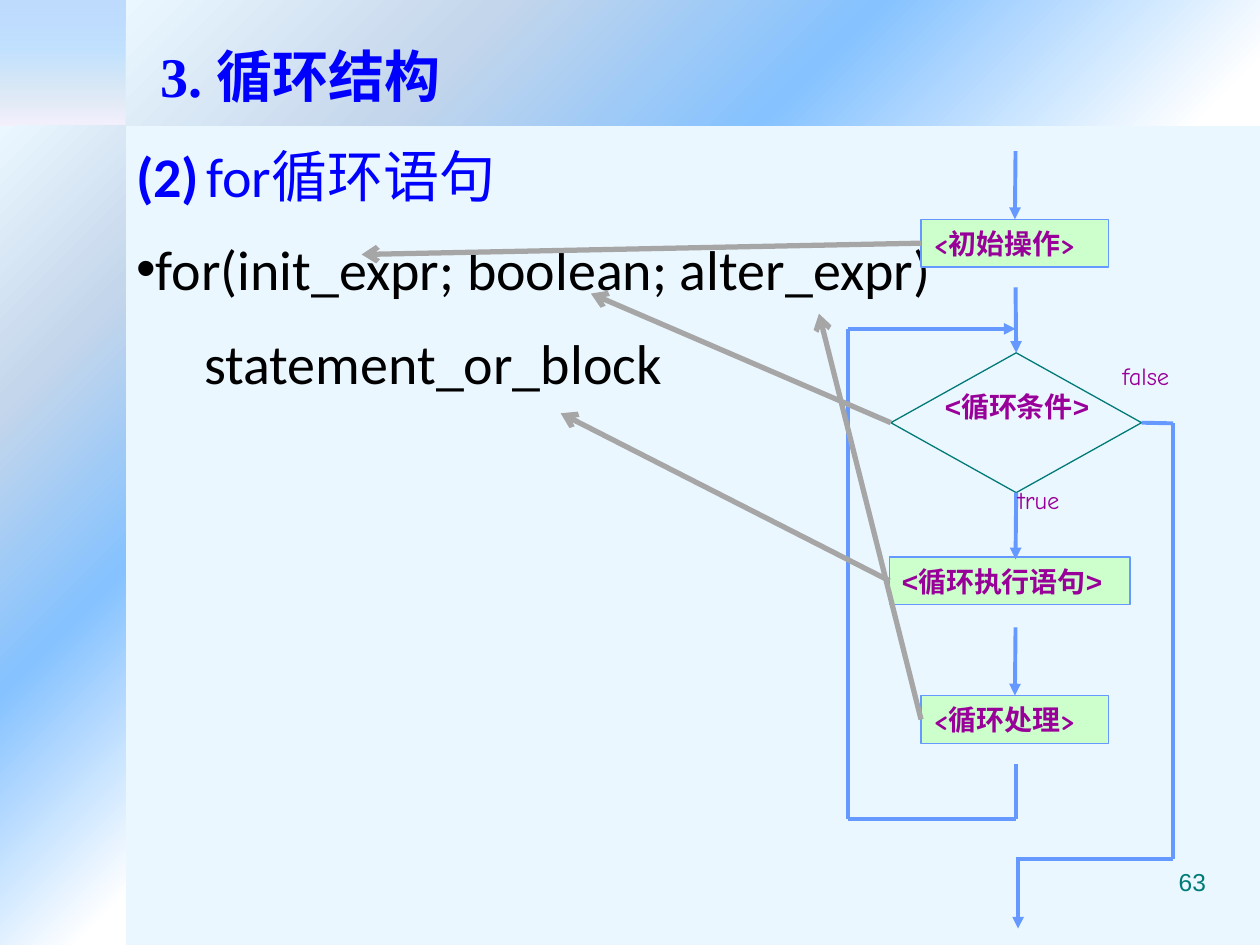
import pptx
import pptx.dml.color
import pptx.enum.shapes
import pptx.enum.text
import pptx.oxml
import pptx.oxml.ns
import pptx.util

Inches = pptx.util.Inches
Pt = pptx.util.Pt
SHAPE = pptx.enum.shapes.MSO_SHAPE
ANCHOR = pptx.enum.text.MSO_ANCHOR
ALIGN = pptx.enum.text.PP_ALIGN

COLORS = {
    "background": "EBF7FF", "heading": "0000FF", "code": "000000",
    "teal": "007A77", "label": "990099", "step": "CCFFCC",
    "flow": "6699FF", "mapping": "A6A6A6",
}
TOP, LEFT, BOTTOM, RIGHT = range(4)
AXIS = 8.06      # centre line of the flowchart
LOOP_X = 6.73    # line that returns to the condition
EXIT_X = 9.31    # line that leaves the loop

HEADING = {"name": "Calibri", "size": Pt(32), "color": "heading"}
STEP = {"name": "Arial", "size": Pt(16), "bold": True, "color": "label"}
BRANCH = {"name": "Comic Neue", "size": Pt(14), "color": "label"}

CORNER_STOPS = [(0, "5E9EFF", 31), (40, "85C2FF", 40),
                (70, "C4D6EB", 44), (100, "FFEBFA", 50)]
BAND_STOPS = [(5, "FFFFFF", 100), (40, "85C2FF", 100),
              (70, "C4D6EB", 100), (100, "EBF7FF", 100)]
DOWNWARD = '<a:lin ang="5400000" scaled="0"/>'
FROM_CORNER = '<a:path path="circle"><a:fillToRect l="100000" t="100000"/></a:path>'


def rgb(name):
    return pptx.dml.color.RGBColor.from_string(COLORS[name])


def add_run(paragraph, text, style):
    run = paragraph.add_run()
    run.text = text
    for key, value in style.items():
        if key == "color":
            run.font.color.rgb = rgb(value)
        else:
            setattr(run.font, key, value)


def place(shape, box):
    for key, value in zip(("left", "top", "width", "height"), box):
        setattr(shape, key, Inches(value))


def set_frame(shape, **values):
    frame = shape.text_frame
    settings = {"word_wrap": True, "auto_size": pptx.enum.text.MSO_AUTO_SIZE.NONE,
                "vertical_anchor": ANCHOR.TOP} | values
    for key, value in settings.items():
        setattr(frame, key, value)
    return frame


def set_bullet(paragraph, char=None, indent=0):
    properties = paragraph._p.get_or_add_pPr()
    properties.set("marL", str(Inches(indent)))
    properties.set("indent", "0")
    tag = f'buChar char="{char}"' if char else "buNone"
    properties.append(pptx.oxml.parse_xml(
        f'<a:{tag} {pptx.oxml.ns.nsdecls("a")}/>'))


def add_band(slide, box, stops, direction, rotation=0):
    """Add a gradient rectangle behind everything else."""
    band = slide.shapes.add_shape(SHAPE.RECTANGLE, *map(Inches, box))
    band.shadow.inherit = False
    band.rotation = rotation
    band.line.fill.background()
    band.fill.solid()
    stop_xml = "".join(
        f'<a:gs pos="{pos * 1000}"><a:srgbClr val="{color}">'
        f'<a:alpha val="{alpha * 1000}"/></a:srgbClr></a:gs>'
        for pos, color, alpha in stops)
    gradient = pptx.oxml.parse_xml(
        f'<a:gradFill {pptx.oxml.ns.nsdecls("a")} rotWithShape="1">'
        f'<a:gsLst>{stop_xml}</a:gsLst>{direction}</a:gradFill>')
    solid = band._element.spPr.find(pptx.oxml.ns.qn("a:solidFill"))
    solid.getparent().replace(solid, gradient)
    band._element.getparent().insert(2, band._element)


def add_node(slide, kind, box, fill, line):
    node = slide.shapes.add_shape(kind, *map(Inches, box))
    node.shadow.inherit = False
    node.fill.solid()
    node.fill.fore_color.rgb = rgb(fill)
    node.line.color.rgb = rgb(line)
    node.line.width = Pt(0.75)
    return node


def add_step(slide, box, text, font):
    step = add_node(slide, SHAPE.RECTANGLE, box, "step", "flow")
    frame = set_frame(step, vertical_anchor=ANCHOR.MIDDLE, margin_right=0)
    frame.paragraphs[0].alignment = ALIGN.LEFT
    add_run(frame.paragraphs[0], text, STEP | {"name": font})
    return step


def add_label(slide, box, text, style, align=ALIGN.LEFT):
    label = slide.shapes.add_textbox(*map(Inches, box))
    paragraph = set_frame(label, margin_right=Inches(0.1)).paragraphs[0]
    paragraph.alignment = align
    add_run(paragraph, text, style)


def add_line(slide, start, end, color="flow", width=2.25, arrow=None):
    """Draw a line; each end is an (x, y) point or a (shape, side) pair."""
    joined = [not isinstance(point[0], (int, float)) for point in (start, end)]
    ends = [(0, 0) if join else point for join, point in zip(joined, (start, end))]
    line = slide.shapes.add_connector(
        pptx.enum.shapes.MSO_CONNECTOR.STRAIGHT, *map(Inches, ends[0] + ends[1]))
    if joined[0]:
        line.begin_connect(*start)
    if joined[1]:
        line.end_connect(*end)
    line.line.color.rgb = rgb(color)
    line.line.width = Pt(width)
    namespace = pptx.oxml.ns.nsdecls("a")
    if arrow:
        line.line._get_or_add_ln().append(
            pptx.oxml.parse_xml(f'<a:tailEnd {namespace} type="{arrow}"/>'))
    line._element.spPr.append(pptx.oxml.parse_xml(f"<a:effectLst {namespace}/>"))


def write_title(slide):
    title = slide.shapes.title
    place(title, (1.17, 0.28, 8.08, 0.63))
    paragraph = set_frame(title).paragraphs[0]
    paragraph.alignment = ALIGN.LEFT
    add_run(paragraph, "3. 循环结构",
            HEADING | {"name": "Times New Roman", "bold": True})


def write_syntax(slide):
    body = slide.placeholders[1]
    place(body, (0.98, 1.07, 8.17, 2.23))
    frame = set_frame(body)
    code = HEADING | {"color": "code"}
    lines = [
        ([("(2)", HEADING | {"bold": True}), (" ", HEADING | {"size": Pt(18)}),
          ("for循环语句", HEADING)], None, 0),
        ([("for(init_expr; boolean; alter_expr)", code)], "•", 0),
        ([("statement_or_block", code)], None, 0.54),
    ]
    for index, (runs, bullet, indent) in enumerate(lines):
        paragraph = frame.add_paragraph() if index else frame.paragraphs[0]
        paragraph.space_before = Pt(15 if index else 0)
        set_bullet(paragraph, bullet, indent)
        for text, style in runs:
            add_run(paragraph, text, style)


def draw_flowchart(slide):
    condition = add_node(slide, SHAPE.FLOWCHART_DECISION,
                         (7.07, 2.8, 1.99, 1.11), "background", "teal")
    add_label(slide, (7.4, 3.04, 1.49, 0.37), "<循环条件>", STEP)
    statement = add_step(slide, (7.06, 4.42, 1.91, 0.38), "<循环执行语句>", "Arial")
    initial, update = [
        add_step(slide, (7.31, top, 1.49, 0.38), text, "Comic Neue")
        for top, text in ((1.74, "<初始操作>"), (5.52, "<循环处理>"))]

    for start, end in [
        ((AXIS, 1.2), (initial, TOP)),
        ((AXIS, 2.28), (condition, TOP)),
        ((condition, BOTTOM), (AXIS, 4.44)),
        ((AXIS, 4.98), (update, TOP)),
        ((LOOP_X, 2.61), (AXIS, 2.61)),
        ((8.08, 6.83), (8.08, 7.37)),
    ]:
        add_line(slide, start, end, arrow="triangle")
    for start, end in [
        ((AXIS, 6.06), (AXIS, 6.5)),
        ((AXIS, 6.5), (LOOP_X, 6.5)),
        ((LOOP_X, 6.5), (LOOP_X, 2.61)),
        ((EXIT_X, 3.36), (condition, RIGHT)),
        ((EXIT_X, 6.82), (EXIT_X, 3.36)),
        ((EXIT_X, 6.82), (AXIS, 6.82)),
    ]:
        add_line(slide, start, end)

    add_label(slide, (8.81, 2.82, 0.91, 0.33), "false", BRANCH)
    add_label(slide, (7.98, 3.8, 1.08, 0.33), "true", BRANCH)

    for node, target in [(initial, (2.87, 2.02)), (condition, (4.69, 2.33)),
                         (statement, (4.45, 3.28)), (update, (6.5, 2.49))]:
        add_line(slide, (node, LEFT), target, "mapping", 3, "arrow")


def main():
    deck = pptx.Presentation()
    deck.slide_width, deck.slide_height = Inches(10), Inches(7.5)
    slide = deck.slides.add_slide(deck.slide_layouts[1])
    slide.background.fill.solid()
    slide.background.fill.fore_color.rgb = rgb("background")
    add_band(slide, (-2.75, 3.75, 6.5, 1), BAND_STOPS, FROM_CORNER, 90)
    add_band(slide, (1, 0, 9, 1), BAND_STOPS, FROM_CORNER)
    add_band(slide, (0, 0, 1, 1), CORNER_STOPS, DOWNWARD)
    write_title(slide)
    write_syntax(slide)
    draw_flowchart(slide)
    add_label(slide, (7.17, 6.83, 2.5, 0.52), "63",
              {"name": "Arial", "size": Pt(14), "color": "teal"}, ALIGN.RIGHT)
    deck.save("out.pptx")


if __name__ == "__main__":
    main()
